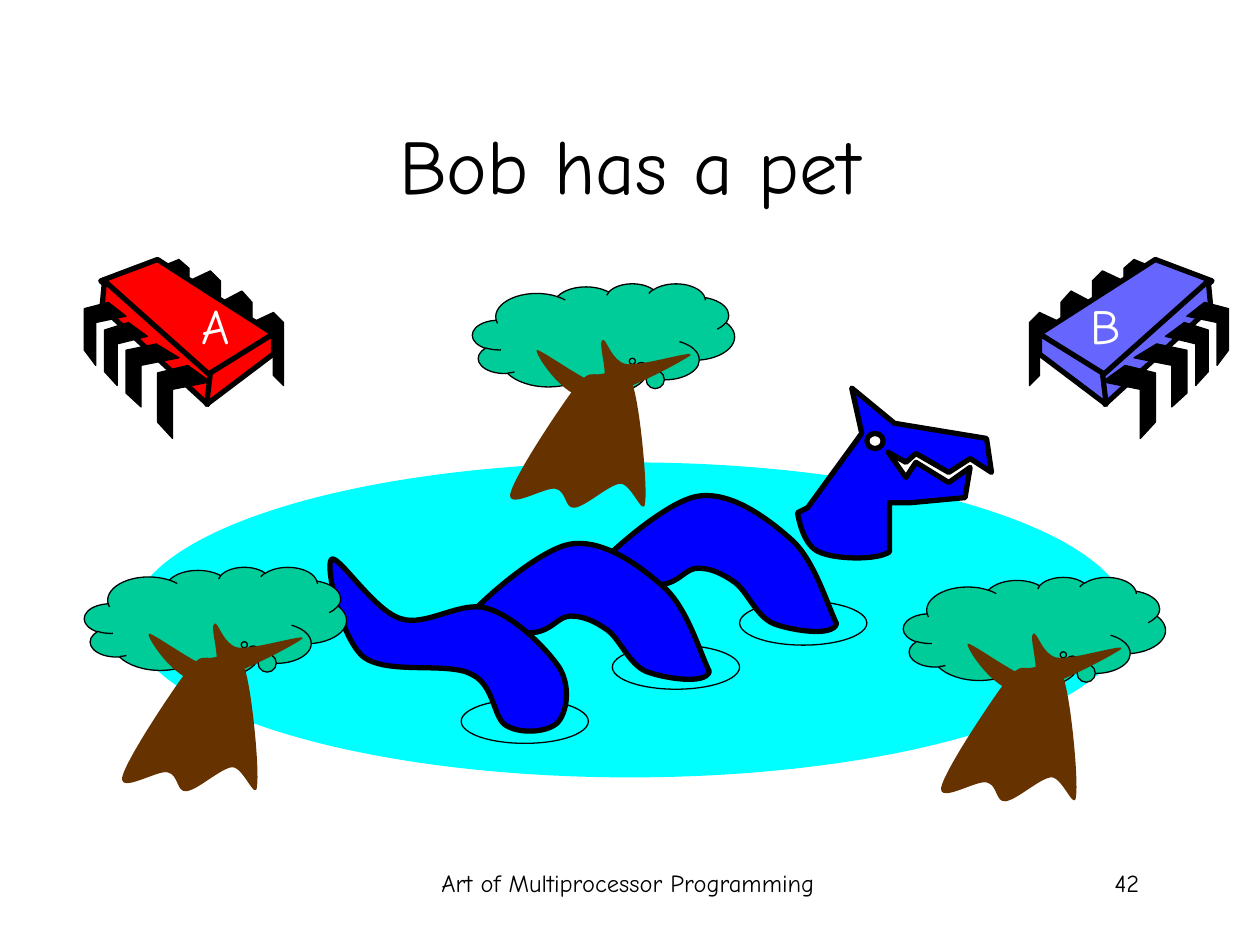
from lxml import etree
from pptx import Presentation
from pptx import util as u
from pptx.dml.color import RGBColor
from pptx.enum import shapes, text
from pptx.oxml.ns import qn

PX = 9144  # 100 px to the inch
BLACK, WHITE, BLUE = "000000", "FFFFFF", "0000FF"
CYAN, GREEN, BROWN = "00FFFF", "00CC99", "663300"
STRAIGHT, CURVED = slice(0), slice(None)


def paint(shape, fill=None, line_width=0):
    shape.shadow.inherit = False
    if fill:
        shape.fill.solid()
        shape.fill.fore_color.rgb = RGBColor.from_string(fill)
    else:
        shape.fill.background()
    if line_width:
        shape.line.color.rgb = RGBColor.from_string(BLACK)
        shape.line.width = u.Pt(line_width)
    else:
        shape.line.fill.background()


def outline(parent, points, fill, line_width=0, curved=STRAIGHT):
    """Draw a closed outline; points in the curved slice form cubic Béziers."""
    builder = parent.build_freeform(*points[0], scale=PX)
    builder.add_line_segments(points[1:], close=True)
    shape = builder.convert_to_shape()
    segments = list(shape._element.iter(qn("a:lnTo")))[curved]
    for i in range(0, len(segments), 3):
        curve = etree.Element(qn("a:cubicBezTo"))
        segments[i].addprevious(curve)
        for segment in segments[i:i + 3]:
            curve.append(segment[0])
            segment.getparent().remove(segment)
    paint(shape, fill, line_width)


presentation = Presentation()
presentation.slide_width, presentation.slide_height = 1000 * PX, 750 * PX
slide = presentation.slides.add_slide(presentation.slide_layouts[6])

# Two chips, mirror images of each other
BACK_LEGS = [
    [(200, 256), (217, 248), (225, 256), (225, 306), (217, 298), (217, 265), (200, 273)],
    [(175, 240), (192, 231), (200, 240), (200, 290), (192, 281), (192, 248), (175, 256)],
    [(150, 223), (167, 215), (175, 223), (175, 273), (167, 265), (167, 231), (150, 240)],
    [(125, 213), (142, 206), (150, 213), (150, 256), (142, 249), (142, 221), (125, 228)],
]
CHIP_FACES = [
    [(125, 206), (217, 265), (165, 299), (80, 223)],
    [(83, 223), (167, 298), (165, 321), (81, 244)],
    [(217, 265), (217, 281), (164, 321), (167, 296)],
]
FRONT_LEGS = [
    [(149, 290), (167, 303), (137, 309), (137, 348), (125, 335), (125, 296)],
    [(124, 273), (142, 284), (112, 290), (112, 323), (100, 312), (100, 278)],
    [(102, 256), (117, 267), (93, 273), (93, 306), (83, 295), (83, 262)],
    [(86, 240), (100, 251), (76, 256), (76, 290), (67, 278), (67, 245)],
]
for color, mirrored in (("FF0000", False), ("6666FF", True)):
    chip = slide.shapes.add_group_shape().shapes
    for parts, fill, line_width in (
        (BACK_LEGS, BLACK, 0.75), (CHIP_FACES, color, 3), (FRONT_LEGS, BLACK, 0.75),
    ):
        for points in parts:
            if mirrored:
                points = [(1042 - x, y) for x, y in points]
            outline(chip, points, fill, line_width)

pool = slide.shapes.add_shape(
    shapes.MSO_SHAPE.OVAL, 104 * PX, 367 * PX, 792 * PX, 250 * PX)
paint(pool, CYAN)

# Texts
LEFT, CENTER, RIGHT = text.PP_ALIGN.LEFT, text.PP_ALIGN.CENTER, text.PP_ALIGN.RIGHT
for words, box, size, color, alignment in (
    ("Bob has a pet", (75, 67, 850, 125), 44, BLACK, CENTER),
    ("Art of Multiprocessor Programming", (340, 684, 317, 50), 14, BLACK, CENTER),
    ("42", (706, 684, 208, 50), 14, BLACK, RIGHT),
    ("A", (143, 230, 49, 57), 28, WHITE, RIGHT),
    ("B", (854, 230, 45, 57), 28, WHITE, RIGHT),
):
    frame = slide.shapes.add_textbox(*(length * PX for length in box)).text_frame
    frame.word_wrap = True
    if size == 44:
        frame.vertical_anchor = text.MSO_ANCHOR.MIDDLE
    paragraph = frame.paragraphs[0]
    paragraph.text = words
    paragraph.alignment = alignment
    paragraph.font.name = "Comic Neue"
    paragraph.font.size = u.Pt(size)
    paragraph.font.color.rgb = RGBColor.from_string(color)

# Ripples and the sea monster
for left, top in ((486, 512), (366, 555), (587, 477)):
    ripple = slide.shapes.add_shape(
        shapes.MSO_SHAPE.OVAL, left * PX, top * PX, 101 * PX, 35 * PX)
    paint(ripple, line_width=0.75)

HUMP = [
    (664, 495), (661, 506), (627, 500), (614, 495), (600, 489), (593, 469), (583, 462),
    (573, 455), (564, 451), (554, 451), (544, 451), (540, 462), (525, 464),
    (511, 465), (461, 472), (466, 460), (471, 449), (526, 399), (553, 394),
    (580, 389), (610, 412), (629, 429), (647, 446), (657, 481), (664, 495),
]
for dx, dy in ((0, 0), (-101, 38)):
    outline(slide.shapes, [(x + dx, y + dy) for x, y in HUMP], BLUE, 3, CURVED)

HEAD = [
    (641, 403), (684, 344), (676, 308), (710, 336), (783, 348), (787, 375), (770, 364),
    (753, 375), (727, 360), (719, 367), (705, 359), (719, 379), (727, 367), (753, 383),
    (770, 371), (766, 395), (723, 399), (706, 399), (706, 438),
    (696, 445), (662, 444), (650, 438), (638, 433), (634, 413), (633, 407),
]
outline(slide.shapes, HEAD, BLUE, 3, slice(18, 24))
eye = slide.shapes.add_shape(
    shapes.MSO_SHAPE.OVAL, 688 * PX, 344 * PX, 13 * PX, 12 * PX)
paint(eye, WHITE, 3)

TAIL = [
    (263, 444), (268, 439), (297, 485), (318, 491), (338, 498), (366, 476), (387, 483),
    (408, 489), (434, 515), (444, 530), (453, 545), (450, 565), (443, 573),
    (436, 581), (414, 583), (402, 576), (391, 570), (393, 544), (374, 535),
    (355, 525), (307, 536), (288, 521), (270, 505), (258, 449), (263, 444),
]
outline(slide.shapes, TAIL, BLUE, 3, CURVED)

# Trees, with trunk and branches measured from the crown's corner
TRUNK = [
    (81, 83), (93, 68), (94, 73), (102, 72), (109, 71), (121, 63), (127, 80),
    (133, 97), (139, 161), (137, 174), (136, 187), (126, 158), (117, 159),
    (108, 160), (90, 177), (81, 178), (73, 179), (75, 165), (66, 163),
    (58, 161), (28, 180), (30, 167), (33, 153), (69, 99), (81, 83),
]
BRANCHES = [
    (51, 53), (49, 55), (71, 90), (91, 91), (112, 92), (168, 61), (173, 57),
    (178, 52), (134, 66), (122, 64), (110, 62), (106, 42), (103, 45),
    (99, 47), (110, 78), (102, 80), (93, 81), (53, 51), (51, 53),
]
for left, top in ((375, 225), (717, 458), (67, 450)):
    tree = slide.shapes.add_group_shape().shapes
    crown = tree.add_shape(
        shapes.MSO_SHAPE.CLOUD_CALLOUT, left * PX, top * PX, 208 * PX, 87 * PX)
    crown.adjustments[0], crown.adjustments[1] = 0.11, 0.21
    paint(crown, GREEN, 0.75)
    for points in (TRUNK, BRANCHES):
        outline(tree, [(left + x, top + y) for x, y in points], BROWN, curved=CURVED)

presentation.save("out.pptx")
